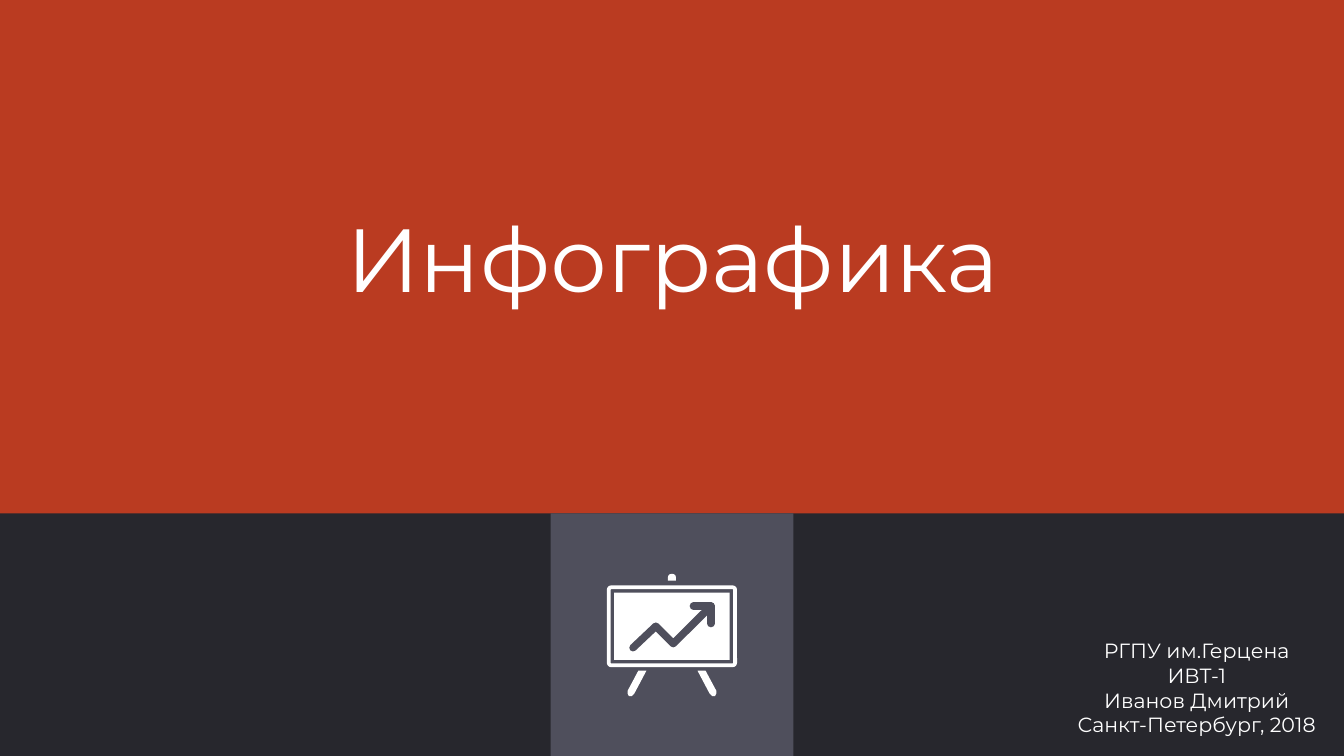
from dataclasses import dataclass

from lxml.etree import SubElement
from pptx import Presentation
from pptx.dml.color import RGBColor
from pptx.enum.shapes import MSO_SHAPE
from pptx.enum.text import MSO_ANCHOR, MSO_AUTO_SIZE, PP_ALIGN
from pptx.oxml.ns import qn
from pptx.util import Inches, Pt

WIDE = 10
HIGH = WIDE * 9 / 16
SPLIT = 3.82


@dataclass(frozen=True)
class Theme:
    """Colours, font and type sizes of the slide."""
    back: str = "BA3B21"
    band: str = "27272D"
    tile: str = "4F4F5C"
    ink: str = "FFFFFF"
    font: str = "Montserrat"
    head: int = 48
    note: int = 11


THEME = Theme()


def paint(shape, fill=None, line=None, width=0):
    """Set the fill and line of a shape and drop its shadow."""
    shape.shadow.inherit = False
    if fill:
        shape.fill.solid()
        shape.fill.fore_color.rgb = RGBColor.from_string(fill)
    else:
        shape.fill.background()
    if line:
        shape.line.color.rgb = RGBColor.from_string(line)
        shape.line.width = Pt(width)
    else:
        shape.line.fill.background()
    return shape


def block(shapes, box, kind=MSO_SHAPE.RECTANGLE, **look):
    """Add a preset shape in a box given in inches."""
    return paint(shapes.add_shape(kind, *map(Inches, box)), **look)


def trace(shapes, left, top, runs, close, **look):
    """Add a freeform of one or more runs of points relative to a corner."""
    runs = [[(Inches(left + x), Inches(top + y)) for x, y in run] for run in runs]
    pen = shapes.build_freeform(*runs[0][0])
    for i, run in enumerate(runs):
        if i:
            pen.move_to(*run[0])
        pen.add_line_segments(run[1:], close=close)
    return paint(pen.convert_to_shape(), **look)


def write(shape, text, size, inset=(0.1, 0.05), anchor=MSO_ANCHOR.TOP):
    """Put centred lines of text in a shape."""
    frame = shape.text_frame
    frame.word_wrap = True
    frame.auto_size = MSO_AUTO_SIZE.NONE
    frame.vertical_anchor = anchor
    frame.margin_left = frame.margin_right = Inches(inset[0])
    frame.margin_top = frame.margin_bottom = Inches(inset[1])
    frame.text = text
    for para in frame.paragraphs:
        para.alignment = PP_ALIGN.CENTER
        font = para.runs[0].font
        font.name, font.size = THEME.font, Pt(size)
        font.color.rgb = RGBColor.from_string(THEME.ink)


def title(slide, box, text):
    """Place the slide title in the upper field."""
    shape = slide.shapes.title
    shape.left, shape.top, shape.width, shape.height = map(Inches, box)
    write(shape, text, THEME.head, inset=(0.1, 0.1), anchor=MSO_ANCHOR.MIDDLE)


def board(slide, box):
    """Draw the flip chart icon in its box."""
    left, top, wide, _ = box
    parts = slide.shapes.add_group_shape().shapes
    frame = block(parts, (left + 0.01, top + 0.1, wide - 0.02, 0.58),
                  MSO_SHAPE.ROUNDED_RECTANGLE, line=THEME.ink, width=2)
    frame.adjustments[0] = 0.03
    knob = block(parts, (left + wide / 2 - 0.03, top, 0.06, 0.05),
                 MSO_SHAPE.ROUND_2_SAME_RECTANGLE, fill=THEME.ink)
    knob.adjustments[0] = 0.5
    leg = [(0.23, 0.72), (0.15, 0.87), (0.15, 0.89), (0.16, 0.91),
           (0.18, 0.91), (0.2, 0.89), (0.29, 0.72)]
    for run in (leg, [(wide - x, y) for x, y in leg]):
        trace(parts, left, top, [run], True, fill=THEME.ink)
    block(parts, (left + 0.05, top + 0.14, wide - 0.1, 0.5), fill=THEME.ink)
    shaft = [(0.19, 0.55), (0.36, 0.39), (0.49, 0.52), (0.77, 0.24)]
    tip = [(0.64, 0.24), (0.77, 0.24), (0.77, 0.37)]
    arrow = trace(parts, left, top, [shaft, tip], False, line=THEME.tile, width=4)
    line = arrow.line._get_or_add_ln()
    line.set("cap", "rnd")
    SubElement(line, qn("a:round"))


def footer(slide, box):
    """Draw the lower band with its middle tile, icon and credits."""
    left, top, wide, high = box
    block(slide.shapes, box, fill=THEME.band)
    mid = left + wide / 2
    block(slide.shapes, (mid - high / 2, top, high, high), fill=THEME.tile)
    board(slide, (mid - 0.48, top + 0.45, 0.96, 0.91))
    note = slide.shapes.add_textbox(
        *map(Inches, (left + 7.46, top + 0.88, 2.89, 0.79)))
    lines = ("РГПУ им.Герцена", "ИВТ-1", "Иванов Дмитрий", "Санкт-Петербург, 2018")
    write(note, "\n".join(lines), THEME.note)


def main():
    """Build and save the slide."""
    deck = Presentation()
    deck.slide_width, deck.slide_height = Inches(WIDE), Inches(HIGH)
    slide = deck.slides.add_slide(deck.slide_layouts[5])
    fill = slide.background.fill
    fill.solid()
    fill.fore_color.rgb = RGBColor.from_string(THEME.back)
    title(slide, (1.08, 0, 7.85, SPLIT), "Инфографика")
    footer(slide, (0, SPLIT, WIDE, HIGH - SPLIT))
    deck.save("out.pptx")


if __name__ == "__main__":
    main()
